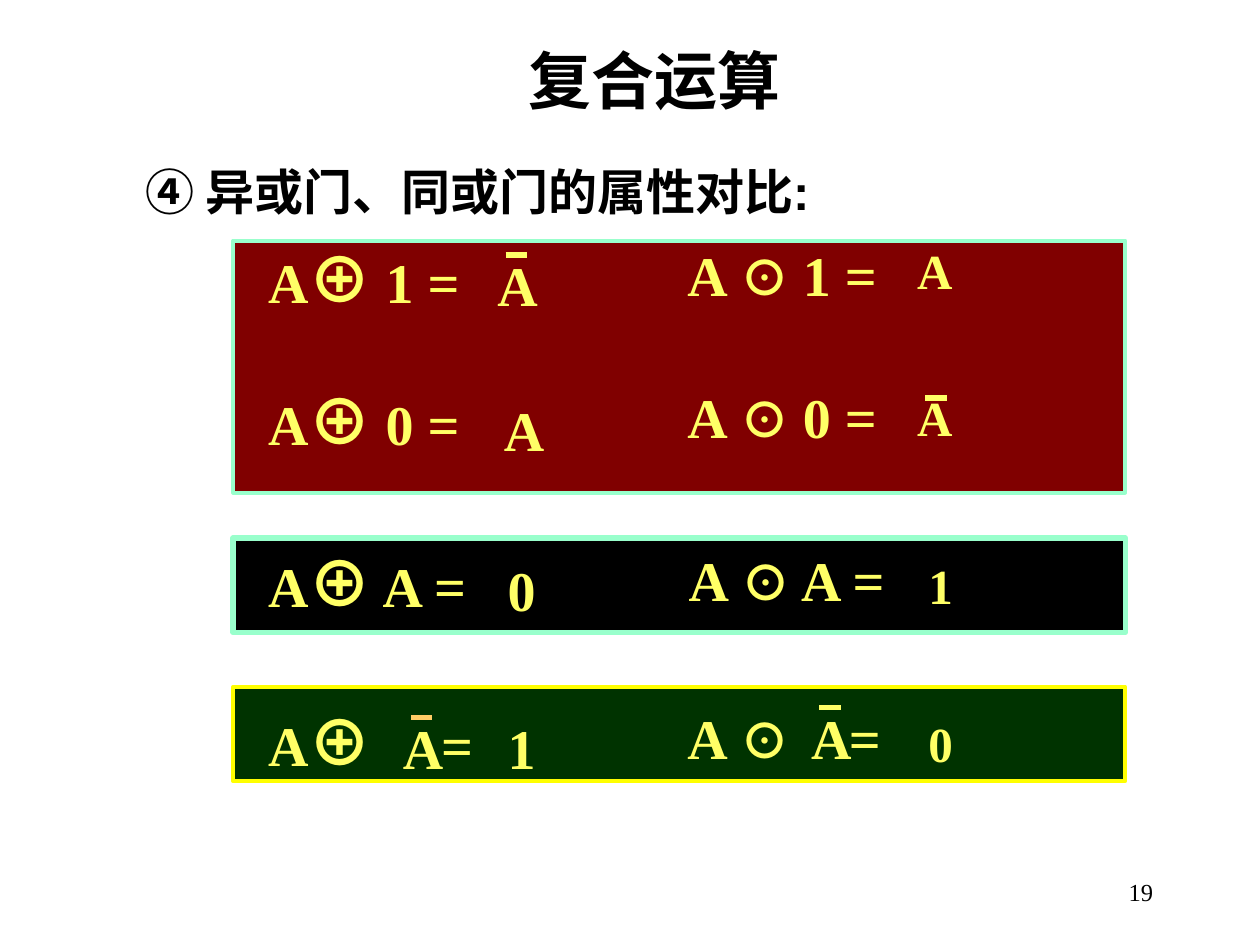
from dataclasses import dataclass
from lxml import etree
from pptx import Presentation
from pptx.dml.color import RGBColor
from pptx.enum import shapes, text
from pptx.oxml import ns
from pptx.util import Pt


@dataclass(frozen=True)
class Theme:
    ink: str = "000000"
    gold: str = "FFFF66"
    amber: str = "FFCC66"
    mint: str = "99FFCC"
    lemon: str = "FFFF00"
    red: str = "800000"
    black: str = "000000"
    green: str = "003300"
    serif: str = "Times New Roman"
    sans: str = "Arial"
    han: str = "Noto Sans CJK SC"
    title: int = 36
    sign: int = 36
    large: int = 32
    small: int = 28
    note: int = 14


T = Theme()


def child(parent, tag, **attrs):
    return etree.SubElement(parent, ns.qn(tag), **attrs)


def set_face(font, size, face):
    font.size = Pt(size)
    font.name = face
    latin = font._element.find(ns.qn("a:latin"))
    east = etree.Element(ns.qn("a:ea"), typeface=T.han)
    latin.addnext(east)


def write(parts, box, runs, color=T.gold, bold=True, align=None, stop=None):
    frame = parts.add_textbox(*map(Pt, box)).text_frame
    frame.word_wrap = True
    frame.auto_size = text.MSO_AUTO_SIZE.SHAPE_TO_FIT_TEXT
    para = frame.paragraphs[0]
    if align is not None:
        para.alignment = align
    if stop:
        tabs = child(para._p.get_or_add_pPr(), "a:tabLst")
        child(tabs, "a:tab", pos=str(Pt(stop)), algn="l")
    para.font.bold = bold
    para.font.color.rgb = RGBColor.from_string(color)
    if len(runs) == 1:
        set_face(para.font, *runs[0][1:])
    for words, size, face in runs:
        run = para.add_run()
        run.text = words
        if len(runs) > 1:
            set_face(run.font, size, face)
    return frame


def xor(parts, x, y, tail, stop=None):
    runs = [("A", T.large, T.serif), ("⊕", T.sign, T.han), (tail, T.large, T.serif)]
    write(parts, (x + 13, y, 150, 50), runs, stop=stop)


def xnor(parts, x, y, tail, stop=None):
    runs = [("A", T.large, T.serif), (" ", T.small, T.serif),
            ("⊙", T.small, T.han), (tail, T.large, T.serif)]
    write(parts, (x + 252.5, y, 150, 46), runs, stop=stop)


def term(parts, x, y, word, size=T.large, bar=None):
    write(parts, (x, y, 42, 46), [(word, size, T.serif)])
    if bar:
        top = y + (6 if size == T.large else 9.4)
        line = parts.add_connector(shapes.MSO_CONNECTOR.STRAIGHT, Pt(x + 11.7),
                                   Pt(top), Pt(x + 23.9), Pt(top))
        line.line.color.rgb = RGBColor.from_string(bar)
        line.line.width = Pt(3)
        child(line._element.spPr, "a:effectLst")


def panel(slide, box, fill, edge, width):
    parts = slide.shapes.add_group_shape().shapes
    rect = parts.add_shape(shapes.MSO_SHAPE.RECTANGLE, *map(Pt, box))
    rect.shadow.inherit = False
    rect.fill.solid()
    rect.fill.fore_color.rgb = RGBColor.from_string(fill)
    rect.line.color.rgb = RGBColor.from_string(edge)
    rect.line.width = Pt(width)
    return parts


def digits(slide, box):
    x, y = box[:2]
    parts = panel(slide, box, T.red, T.mint, 2.25)
    for digit, top in (("1", y - 3.6), ("0", y + 77.8)):
        xor(parts, x, top, f" {digit} =")
        xnor(parts, x, top, f" {digit} =")
    term(parts, x + 144, y + 2.2, "A", bar=T.gold)
    term(parts, x + 383.8, y - 3.6, "A", T.small)
    term(parts, x + 147.6, y + 85, "A")
    term(parts, x + 383.8, y + 80.6, "A", T.small, T.gold)


def same(slide, box):
    x, y = box[:2]
    parts = panel(slide, box, T.black, T.mint, 3)
    xor(parts, x, y, " A =")
    xnor(parts, x + 0.7, y + 0.7, " A =")
    term(parts, x + 149.8, y + 6.5, "0")
    term(parts, x + 390.2, y + 6.5, "1", T.small)


def inverse(slide, box):
    x, y = box[:2]
    parts = panel(slide, box, T.green, T.lemon, 2.25)
    xor(parts, x, y + 5.8, "\t=", 98.8)
    term(parts, x + 90, y + 11.5, "A", bar=T.amber)
    term(parts, x + 149.8, y + 11.5, "1")
    xnor(parts, x, y + 5.8, "\t=", 92.3)
    term(parts, x + 323.3, y + 5.8, "A", bar=T.gold)
    term(parts, x + 390.2, y + 11.5, "0", T.small)


def heads(slide, top, sub):
    write(slide.shapes, top, [("复合运算", T.title, T.sans)], T.ink,
          align=text.PP_ALIGN.CENTER)
    write(slide.shapes, sub, [("④ ", T.small, T.han),
                              ("异或门、同或门的属性对比", T.small, T.serif),
                              (":", T.small, T.sans)], T.ink)


def folio(slide, box):
    frame = write(slide.shapes, box, [("19", T.note, T.serif)], T.ink, False,
                  text.PP_ALIGN.RIGHT)
    frame.auto_size = text.MSO_AUTO_SIZE.NONE
    frame.vertical_anchor = text.MSO_ANCHOR.MIDDLE


def main():
    deck = Presentation()
    deck.slide_width, deck.slide_height = Pt(720), Pt(540)
    slide = deck.slides.add_slide(deck.slide_layouts[6])
    heads(slide, (118, 20, 512, 50), (76.3, 88.6, 428.4, 41))
    digits(slide, (133.2, 137.5, 509.8, 144))
    same(slide, (133.2, 307.4, 509.8, 54))
    inverse(slide, (133.2, 392.4, 509.8, 54))
    folio(slide, (516.2, 491.8, 149.8, 36))
    deck.save("out.pptx")


if __name__ == "__main__":
    main()
